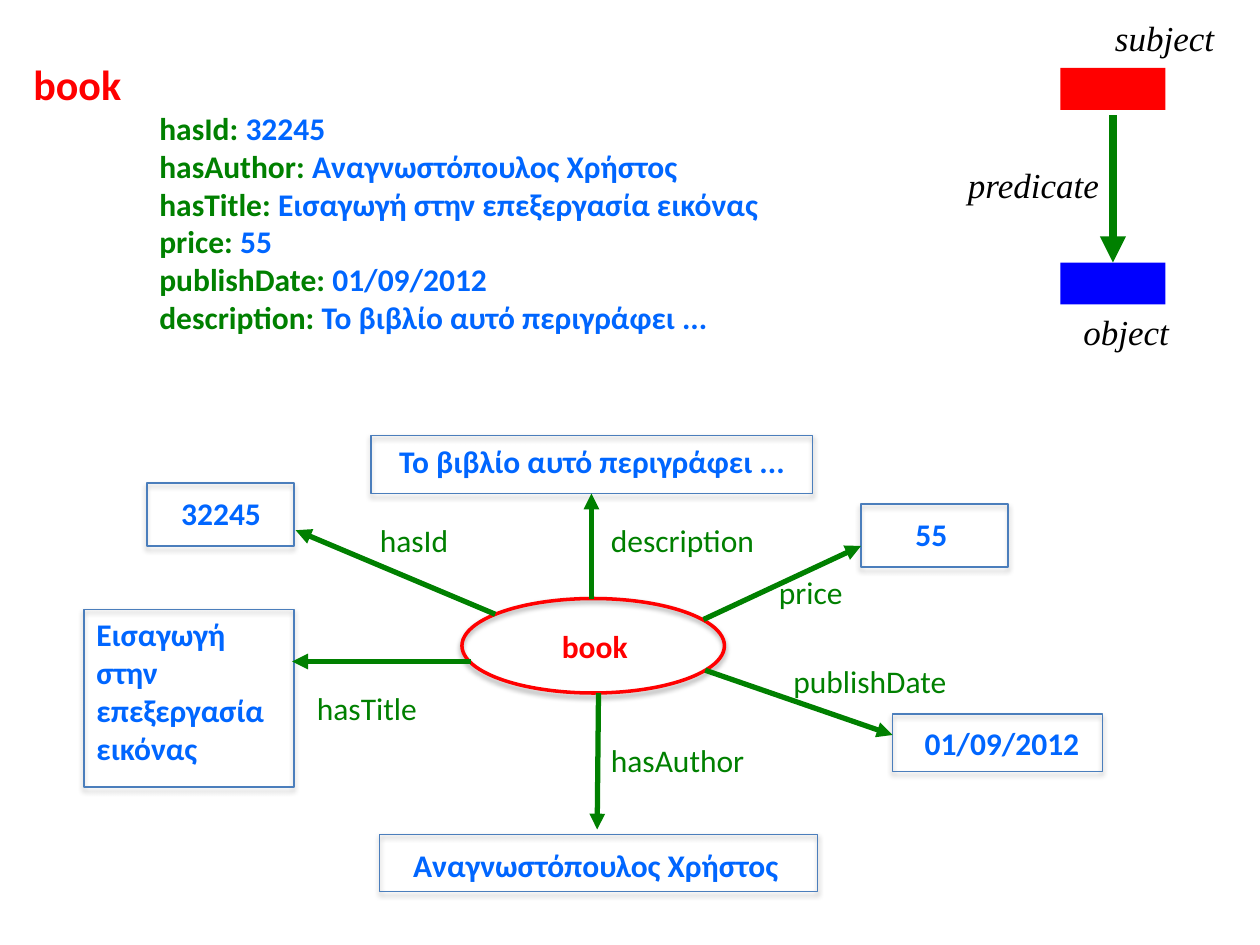
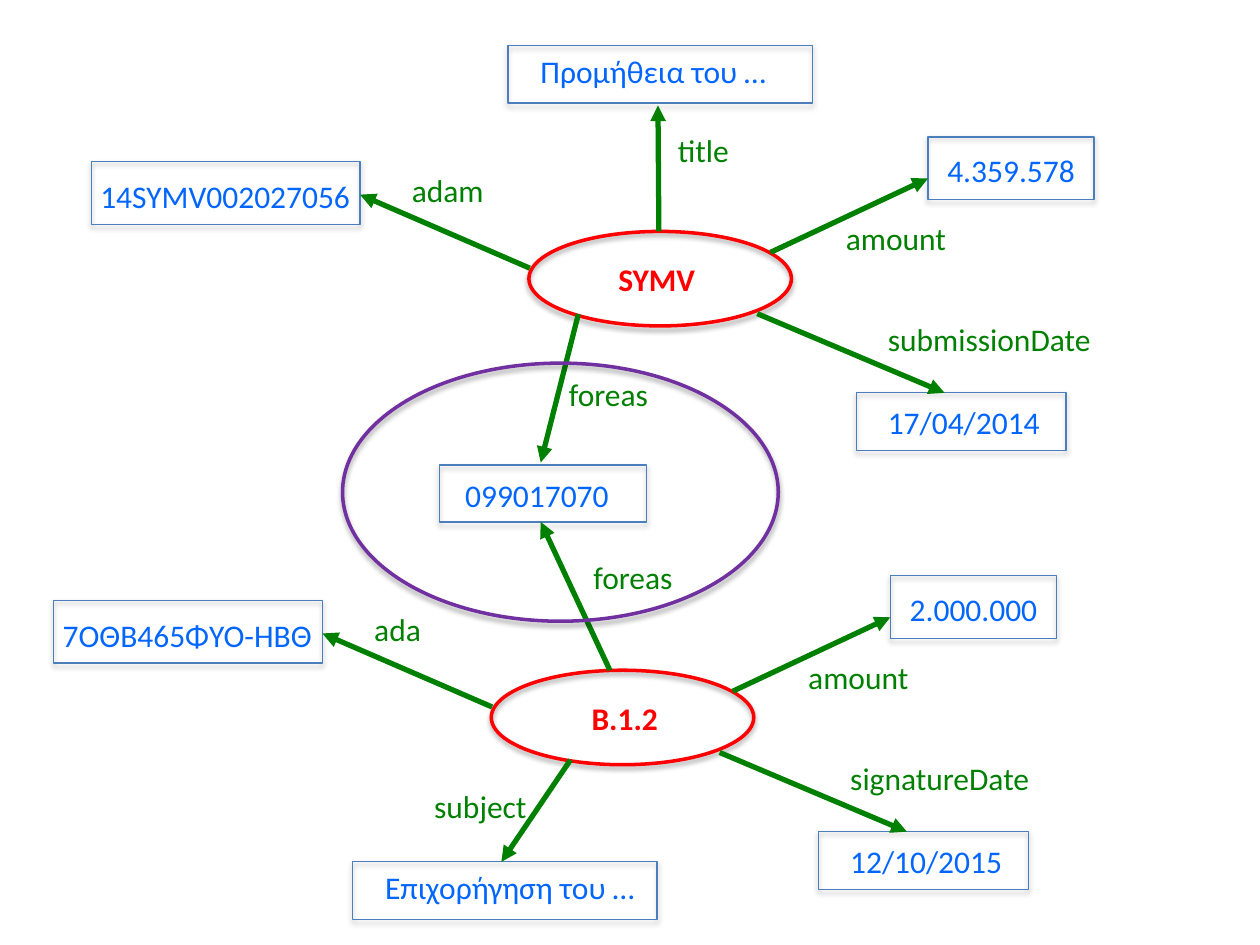
from dataclasses import dataclass

from lxml import etree
from pptx import Presentation
from pptx import util as u
from pptx.dml.color import RGBColor
from pptx.enum import shapes, text
from pptx.oxml.ns import qn

Pt = u.Pt
Point = tuple[float, float]
Frame = tuple[float, float, float, float]

COLOURS = {
    "resource": "FF0000",
    "property": "008000",
    "value": "0066FF",
    "object": "0000FF",
    "border": "4B7EBC",
    "highlight": "7030A0",
    "text": "000000",
}
BODY_FONT, LEGEND_FONT = "Calibri", "Times New Roman"
LINE_HEIGHT = 29
TAB_STOP = 72
PAGE_ORIGIN = (0, 0)
OVAL_SIZE = (150, 54)


@dataclass
class Span:
    text: str
    colour: str
    size: float = 18
    bold: bool = False
    italic: bool = False
    font: str = BODY_FONT


@dataclass
class Value:
    """A literal in a bordered box, with its text frame."""
    text: str
    box: Frame
    text_at: Point
    width: float
    height: float = LINE_HEIGHT
    bold: bool = False
    wrap: bool = False


@dataclass
class Link:
    """A labelled arrow from a resource to a value."""
    label: str
    label_at: Point
    width: float
    start: Point
    end: Point


@dataclass
class Resource:
    name: str
    at: Point
    name_at: Point
    width: float


# Drawing helpers
def colour_of(name: str) -> RGBColor:
    return RGBColor.from_string(COLOURS[name])


def shift(point: Point, origin: Point) -> Point:
    return point[0] + origin[0], point[1] + origin[1]


def add_effects(shape, shadow: bool = False) -> None:
    effects = etree.SubElement(shape._element.spPr, qn("a:effectLst"))
    if shadow:
        outer = etree.SubElement(effects, qn("a:outerShdw"), blurRad=str(Pt(3.1)),
                                 dist=str(Pt(1.8)), dir="5400000", rotWithShape="0")
        black = etree.SubElement(outer, qn("a:srgbClr"), val=COLOURS["text"])
        etree.SubElement(black, qn("a:alpha"), val="35000")


def add_outline(page, kind, frame: Frame, colour: str, width: float) -> None:
    shape = page.shapes.add_shape(kind, *map(Pt, frame))
    shape.fill.background()
    shape.line.color.rgb = colour_of(colour)
    shape.line.width = Pt(width)
    add_effects(shape, shadow=True)


def add_oval(page, frame: Frame, colour: str) -> None:
    add_outline(page, shapes.MSO_SHAPE.OVAL, frame, colour, 2)


def add_block(page, frame: Frame, colour: str) -> None:
    block = page.shapes.add_shape(shapes.MSO_SHAPE.RECTANGLE, *map(Pt, frame))
    block.shadow.inherit = False
    block.fill.solid()
    block.fill.fore_color.rgb = colour_of(colour)
    block.line.fill.background()


def add_tab_stop(para) -> None:
    stops = etree.SubElement(para._p.get_or_add_pPr(), qn("a:tabLst"))
    etree.SubElement(stops, qn("a:tab"), pos=str(Pt(TAB_STOP)), algn="l")


def add_text(page, frame: Frame, lines: list[list[Span]], wrap: bool = False) -> None:
    box = page.shapes.add_textbox(*map(Pt, frame))
    body = box.text_frame
    body.word_wrap = wrap
    body.auto_size = text.MSO_AUTO_SIZE.SHAPE_TO_FIT_TEXT
    for index, line in enumerate(lines):
        para = body.add_paragraph() if index else body.paragraphs[0]
        if line[0].text == "\t":
            add_tab_stop(para)
        for span in line:
            run = para.add_run()
            run.text = span.text
            run.font.name = span.font
            run.font.size = Pt(span.size)
            run.font.bold = span.bold
            run.font.italic = span.italic
            run.font.color.rgb = colour_of(span.colour)


def add_arrow(page, start: Point, end: Point, width: float = 3) -> None:
    arrow = page.shapes.add_connector(shapes.MSO_CONNECTOR.STRAIGHT, *map(Pt, start + end))
    arrow.line.color.rgb = colour_of("property")
    arrow.line.width = Pt(width)
    etree.SubElement(arrow.line._get_or_add_ln(), qn("a:tailEnd"), type="triangle")
    add_effects(arrow)


# Graph parts
def draw_value(page, value: Value, origin: Point = PAGE_ORIGIN) -> None:
    frame = shift(value.box[:2], origin) + value.box[2:]
    add_outline(page, shapes.MSO_SHAPE.RECTANGLE, frame, "border", 0.75)
    add_text(page, shift(value.text_at, origin) + (value.width, value.height),
             [[Span(value.text, "value", bold=value.bold)]], value.wrap)


def draw_link(page, link: Link, origin: Point = PAGE_ORIGIN) -> None:
    add_arrow(page, shift(link.start, origin), shift(link.end, origin))
    add_text(page, shift(link.label_at, origin) + (link.width, LINE_HEIGHT),
             [[Span(link.label, "property")]])


def draw_resource(page, resource: Resource) -> None:
    add_oval(page, resource.at + OVAL_SIZE, "resource")
    add_text(page, shift(resource.name_at, resource.at) + (resource.width, LINE_HEIGHT),
             [[Span(resource.name, "resource", bold=True)]])


# Slide 1: one book described by its properties
BOOK = Resource("book", (264, 342), (50, 13), 52.5)
BOOK_FACTS = [
    (Link("hasId", (210, 294), 55.5, (283, 351), (169, 303)),
     Value("32245", (84, 276, 84, 36), (96.5, 279), 60.5, bold=True)),
    (Link("hasAuthor", (342, 420), 93.5, (342, 396), (341.25, 474)),
     Value("Αναγνωστόπουλος Χρήστος", (217, 477, 250, 32.5), (229, 480), 226, bold=True)),
    (Link("hasTitle", (174, 390), 74, (269, 378), (167, 378)),
     Value("Εισαγωγή στην επεξεργασία εικόνας", (48, 348.25, 120, 101.5), (48, 348), 120,
           height=94.5, bold=True, wrap=True)),
    (Link("price", (438, 324), 52, (402, 354), (492, 312)),
     Value("55", (492, 288, 84, 36), (516, 291), 33, bold=True)),
    (Link("publishDate", (446.25, 375), 106, (403, 383), (510, 420)),
     Value("01/09/2012", (510, 408, 120, 33), (521.25, 410.25), 103.5, bold=True)),
    (Link("description", (342, 294), 99.5, (338, 342), (338, 282)),
     Value("Το βιβλίο αυτό περιγράφει ...", (212, 249, 252.5, 33), (221, 249), 252,
           bold=True, wrap=True)),
]
LEGEND_LABELS = [("subject", 630, 6), ("predicate", 546, 90), ("object", 612, 174)]


def build_book_slide(page) -> None:
    # Legend of a triple
    add_block(page, (606, 38.75, 60, 24), "resource")
    add_block(page, (606, 150, 60, 24), "object")
    add_arrow(page, (636, 66), (636, 150), 5)
    for label, left, top in LEGEND_LABELS:
        span = Span(label, "text", 20, italic=True, font=LEGEND_FONT)
        add_text(page, (left, top, 90, 31), [[span]], wrap=True)

    # Property list
    lines = [[Span(BOOK.name, "resource", 24, bold=True)]]
    for link, value in BOOK_FACTS:
        lines.append([Span("\t", "text", bold=True),
                      Span(f"{link.label}: ", "property", bold=True),
                      Span(value.text, "value", bold=True)])
    add_text(page, (12, 30, 558, 167), lines, wrap=True)

    # Graph
    draw_resource(page, BOOK)
    for link, value in BOOK_FACTS:
        draw_value(page, value)
        draw_link(page, link)


# Slide 2: two records joined by one shared value
@dataclass
class Record:
    resource: Resource
    id_label: str
    id_label_width: float
    identifier: str
    amount: str
    date_label: str
    date_label_width: float
    date: str


RECORDS = [
    Record(Resource("SYMV", (302.25, 132.25), (44, 13), 59), "adam", 56, "14SYMV002027056",
           "4.359.578", "submissionDate", 132, "17/04/2014"),
    Record(Resource("Β.1.2", (280.75, 383), (50.25, 13), 52.5), "ada", 42, "7ΟΘΒ465ΦΥΟ-ΗΒΘ",
           "2.000.000", "signatureDate", 120, "12/10/2015"),
]
TOPIC_FACTS = [
    (Link("title", (380.25, 71.5), 44, (376.5, 132.25), (376, 60.25)),
     Value("Προμήθεια του …", (290.25, 26, 174, 33), (301.75, 26), 145)),
    (Link("subject", (241, 446.25), 67.5, (326, 434.25), (286.5, 492.5)),
     Value("Επιχορήγηση του …", (201.5, 492.5, 174, 33), (213, 492.5), 158.5)),
]
SHARED_VALUE = Value("099017070", (251.25, 265.75, 118, 32.5), (258.75, 268.5), 97)
SHARED_LINKS = [
    Link("foreas", (318, 211), 60.5, (330.5, 179.5), (309, 264.25)),
    Link("foreas", (332, 315.5), 60.5, (348.5, 383), (309, 298.25)),
]


def draw_record(page, record: Record) -> None:
    """Draw a resource and its three facts, placed relative to its oval."""
    draw_resource(page, record.resource)
    facts = [
        (Link(record.id_label, (-74, -38), record.id_label_width, (0.5, 21), (-96.5, -21)),
         Value(record.identifier, (-250, -40, 153.5, 36), (-252, -34.5), 161)),
        (Link("amount", (174, -10.5), 73, (138, 12), (228, -30.25)),
         Value(record.amount, (228, -54, 95, 36), (232, -49.5), 88)),
        (Link(record.date_label, (198, 47), record.date_label_width, (130.5, 47), (237.5, 92.25)),
         Value(record.date, (187, 92.25, 120, 33), (198, 94.5), 102)),
    ]
    for link, value in facts:
        draw_value(page, value, record.resource.at)
        draw_link(page, link, record.resource.at)


def build_records_slide(page) -> None:
    for record in RECORDS:
        draw_record(page, record)
    for link, value in TOPIC_FACTS:
        draw_value(page, value)
        draw_link(page, link)
    draw_value(page, SHARED_VALUE)
    for link in SHARED_LINKS:
        draw_link(page, link)
    add_oval(page, (195.75, 207.5, 249, 147.5), "highlight")


def main() -> None:
    deck = Presentation()
    deck.slide_width, deck.slide_height = Pt(720), Pt(540)
    blank = deck.slide_layouts[6]
    for build in (build_book_slide, build_records_slide):
        build(deck.slides.add_slide(blank))
    deck.save("out.pptx")


if __name__ == "__main__":
    main()
